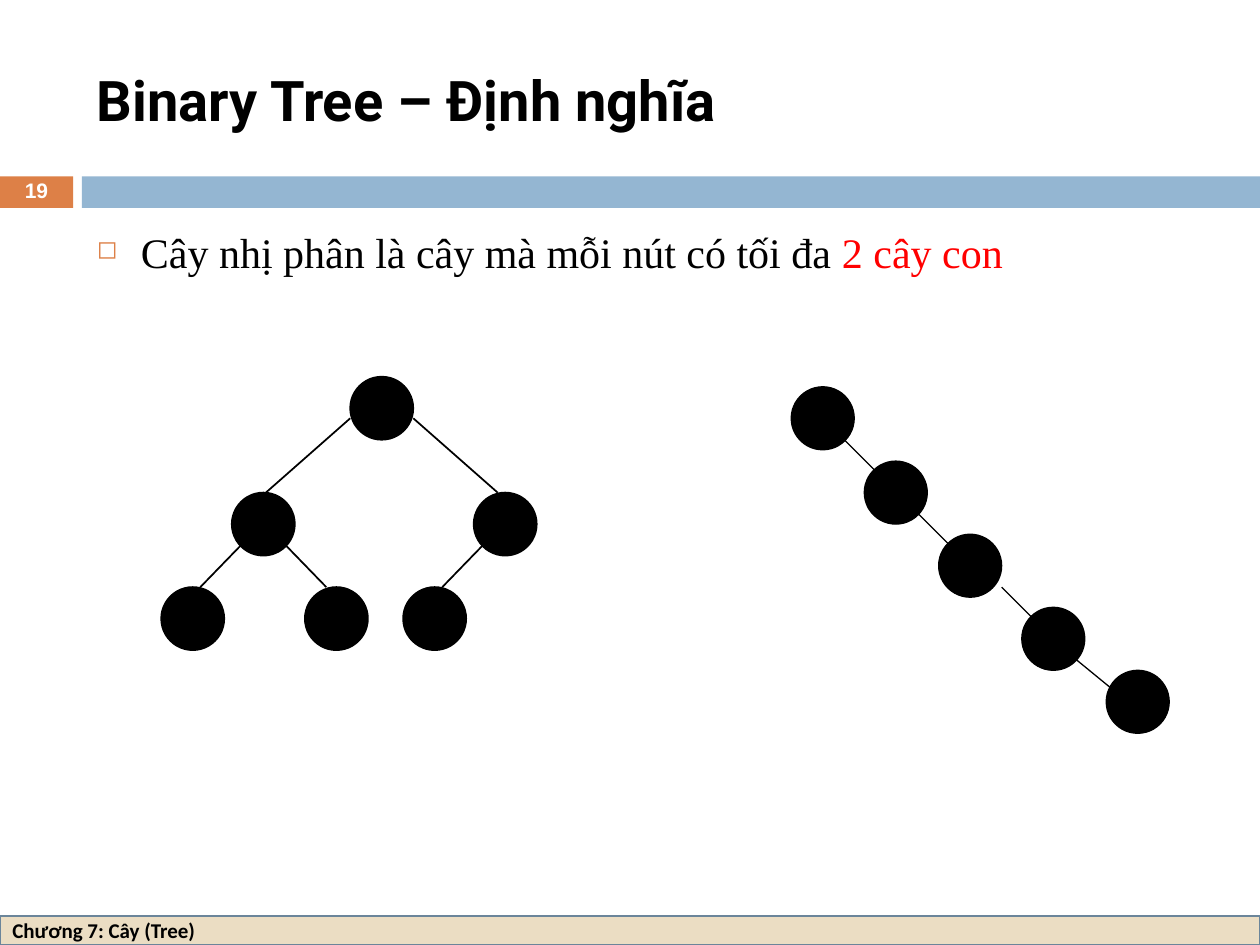
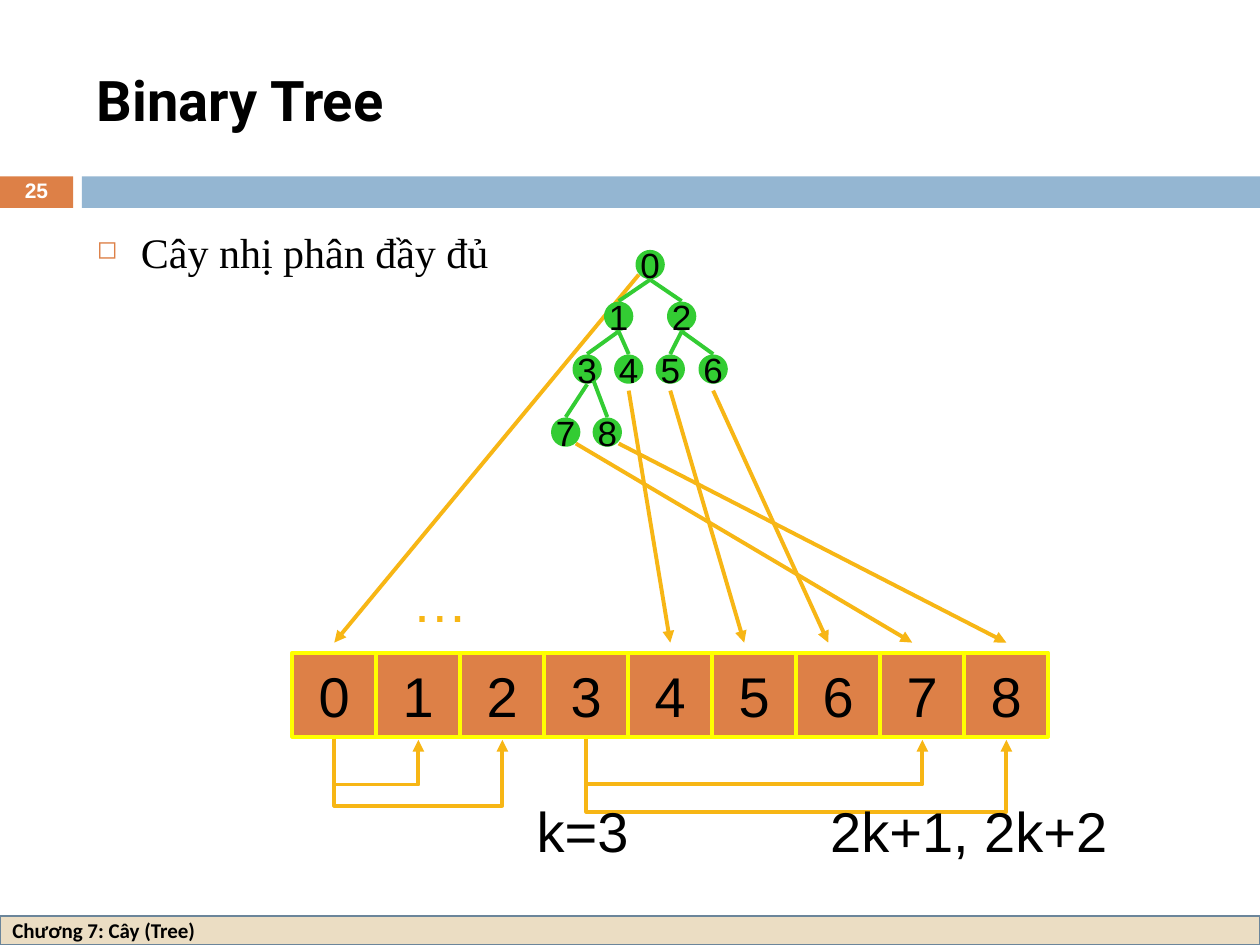
from lxml import etree
from pptx import Presentation
from pptx.dml.color import RGBColor
from pptx.enum.shapes import MSO_CONNECTOR, MSO_SHAPE
from pptx.enum.text import MSO_ANCHOR, PP_ALIGN
from pptx.oxml.ns import qn
from pptx.util import Inches, Pt

RECTANGLE, OVAL = MSO_SHAPE.RECTANGLE, MSO_SHAPE.OVAL
STRAIGHT, ELBOW = MSO_CONNECTOR.STRAIGHT, MSO_CONNECTOR.ELBOW
TOP, MIDDLE = MSO_ANCHOR.TOP, MSO_ANCHOR.MIDDLE
LEFT, CENTER = PP_ALIGN.LEFT, PP_ALIGN.CENTER

# The slide is a grid of 10 columns by 7.5 rows, one inch each
COLUMNS, ROWS = 10, 7.5
BLACK, WHITE, RED = "000000", "FFFFFF", "FF0000"
ORANGE, BLUE, SAND, SLATE = "DD8047", "94B6D2", "EBDDC3", "6B859A"
GREEN, YELLOW, AMBER = "33CC33", "FFFF00", "F7B615"

# Plain binary tree: node centres, then edges
BLACK_NODE = 0.5
BALANCED_NODES = [(3.03, 3.24), (2.09, 4.16), (4.01, 4.16),
                  (1.53, 4.91), (2.67, 4.91), (3.45, 4.91)]
BALANCED_EDGES = [((2.11, 3.91), (2.78, 3.32)), ((3.95, 3.91), (3.28, 3.32)),
                  ((1.59, 4.66), (1.92, 4.32)), ((2.59, 4.66), (2.26, 4.32)),
                  ((3.51, 4.66), (3.84, 4.32))]
CHAIN_NODES = [(6.53, 3.32), (7.11, 3.91), (7.7, 4.49), (8.36, 5.07), (9.03, 5.57)]
CHAIN_EDGES = [((6.7, 3.49), (6.95, 3.74)), ((7.28, 4.07), (7.53, 4.32)),
               ((7.95, 4.66), (8.2, 4.91)), ((8.45, 5.16), (8.95, 5.57))]

# Complete binary tree: node k has the children 2k+1 and 2k+2
GREEN_NODE, EDGE_GAP = 0.17, 0.12
HEAP_NODES = [(5.16, 2.1), (4.91, 2.51), (5.41, 2.51),
              (4.66, 2.93), (4.99, 2.93), (5.32, 2.93), (5.66, 2.93),
              (4.49, 3.43), (4.82, 3.43)]
CELL, ARRAY_LEFT, ARRAY_TOP = 2 / 3, 2.32, 5.18
# Node index, start offset from the node, end offset from the cell's centre
POINTERS = [(0, (-0.09, 0.08), 0), (4, (0, 0.17), 0), (5, (0, 0.17), -0.08),
            (6, (0, 0.17), -0.08), (7, (0.08, 0.09), -0.08), (8, (0.09, 0.09), 0)]
# Parent index, child index, depth below the array
BRACKETS = [(0, 1, 0.37), (0, 2, 0.54), (3, 7, 0.37), (3, 8, 0.59)]


def color(hex_string):
    return RGBColor.from_string(hex_string)


def write(shape, runs, size, font, bold=False, align=LEFT, anchor=MIDDLE, wrap=True):
    """Fill the shape's only paragraph with (text, colour) runs."""
    frame = shape.text_frame
    frame.word_wrap = wrap
    frame.vertical_anchor = anchor
    paragraph = frame.paragraphs[0]
    paragraph.alignment = align
    for text, hex_string in runs:
        run = paragraph.add_run()
        run.text = text
        run.font.size, run.font.name, run.font.bold = Pt(size), font, bold
        run.font.color.rgb = color(hex_string)
    return paragraph


def add_text(slide, box, *args, **options):
    textbox = slide.shapes.add_textbox(*map(Inches, box))
    return write(textbox, *args, **options)


def add_block(slide, kind, box, fill, line=None, width=1):
    shape = slide.shapes.add_shape(kind, *map(Inches, box))
    shape.shadow.inherit = False
    shape.fill.solid()
    shape.fill.fore_color.rgb = color(fill)
    if line:
        shape.line.color.rgb = color(line)
        shape.line.width = Pt(width)
    else:
        shape.line.fill.background()
    return shape


def add_node(slide, center, diameter, fill, width):
    x, y = center
    box = (x - diameter / 2, y - diameter / 2, diameter, diameter)
    return add_block(slide, OVAL, box, fill, fill, width)


def add_line(slide, start, end, hex_string, width, arrow=False, kind=STRAIGHT):
    line = slide.shapes.add_connector(kind, *map(Inches, start + end))
    line.line.color.rgb = color(hex_string)
    line.line.width = Pt(width)
    properties = line._element.spPr
    etree.SubElement(properties, qn("a:effectLst"))
    if arrow:
        etree.SubElement(properties.find(qn("a:ln")), qn("a:tailEnd"), type="triangle")
    return line


def add_bracket(slide, left, right, y, depth):
    """Elbow arrow that leaves downwards, runs across and comes back up."""
    thickness, middle, half = 0.01, (left + right) / 2, (right - left) / 2
    start = (middle + thickness / 2, y - half)
    end = (middle - thickness / 2, y + half)
    bracket = add_line(slide, start, end, AMBER, 2.25, arrow=True, kind=ELBOW)
    properties = bracket._element.spPr
    properties.find(qn("a:xfrm")).set("rot", str(270 * 60000))
    geometry = properties.find(qn("a:prstGeom"))
    guides = geometry.find(qn("a:avLst"))
    if guides is None:
        guides = etree.SubElement(geometry, qn("a:avLst"))
    share = round(depth / thickness * 100000)
    etree.SubElement(guides, qn("a:gd"), name="adj1", fmla=f"val {share}")


def add_bullet(slide, runs):
    paragraph = add_text(slide, (0.67, 1.75, 8.92, 4.92), runs, 24,
                         "Times New Roman", anchor=TOP)
    properties = paragraph._p.get_or_add_pPr()
    properties.set("marL", str(Inches(0.35)))
    properties.set("indent", str(-Inches(0.35)))
    bullet_color = etree.SubElement(properties, qn("a:buClr"))
    etree.SubElement(bullet_color, qn("a:srgbClr"), val=ORANGE)
    etree.SubElement(properties, qn("a:buSzPct"), val="60000")
    etree.SubElement(properties, qn("a:buChar"), char="◻")


def add_base_slide(presentation, title, number, bullet_runs):
    """Slide with the shared bands, footer, title, number and bullet."""
    slide = presentation.slides.add_slide(presentation.slide_layouts[6])
    add_block(slide, RECTANGLE, (0, 1.4, 0.58, 0.25), ORANGE)
    add_block(slide, RECTANGLE, (0.65, 1.4, COLUMNS - 0.65, 0.25), BLUE)
    footer = add_block(slide, RECTANGLE, (0, ROWS - 0.23, COLUMNS, 0.23), SAND, SLATE, 1.5)
    write(footer, [("Chương 7: Cây (Tree)", BLACK)], 12, "Calibri", bold=True)
    add_text(slide, (0.67, 0.25, 8.92, 1.08), [(title, BLACK)], 32, "Roboto", bold=True)
    page = add_text(slide, (0, 1.39, 0.58, 0.27), [(number, WHITE)], 12, "Arial",
                    bold=True, align=CENTER)
    page.line_spacing = 0.8
    add_bullet(slide, bullet_runs)
    return slide


def add_plain_tree(slide, nodes, edges, width):
    for center in nodes:
        add_node(slide, center, BLACK_NODE, BLACK, width)
    for start, end in edges:
        add_line(slide, start, end, BLACK, width)


def cell_center(index):
    return ARRAY_LEFT + (index + 0.5) * CELL


def add_pointers(slide):
    for index, (dx, dy), shift in POINTERS:
        x, y = HEAP_NODES[index]
        end = (cell_center(index) + shift, ARRAY_TOP - 0.08)
        add_line(slide, (x + dx, y + dy), end, AMBER, 2.25, arrow=True)


def add_heap_tree(slide):
    for index, center in enumerate(HEAP_NODES):
        node = add_node(slide, center, GREEN_NODE, GREEN, 4.5)
        write(node, [(str(index), BLACK)], 20, "Arial", align=CENTER, wrap=False)
    for child in range(1, len(HEAP_NODES)):
        parent_x, parent_y = HEAP_NODES[(child - 1) // 2]
        child_x, child_y = HEAP_NODES[child]
        start = (parent_x, parent_y + EDGE_GAP)
        if child == 8:
            start = (parent_x + 0.05, parent_y + 0.09)
        add_line(slide, start, (child_x, child_y - EDGE_GAP), GREEN, 2.25)


def add_array(slide):
    for index in range(len(HEAP_NODES)):
        box = (ARRAY_LEFT + index * CELL, ARRAY_TOP, CELL, CELL)
        cell = add_block(slide, RECTANGLE, box, ORANGE, YELLOW, 2.25)
        write(cell, [(str(index), BLACK)], 32, "Arial", align=CENTER, wrap=False)
    for parent, child, depth in BRACKETS:
        add_bracket(slide, cell_center(parent), cell_center(child),
                    ARRAY_TOP + CELL + 0.02, depth)


def main():
    presentation = Presentation()
    presentation.slide_width, presentation.slide_height = Inches(COLUMNS), Inches(ROWS)

    # Definition of a binary tree
    slide = add_base_slide(presentation, "Binary Tree – Định nghĩa", "19",
                           [("Cây nhị phân là cây mà mỗi nút có tối đa ", BLACK),
                            ("2 cây con", RED)])
    add_plain_tree(slide, BALANCED_NODES, BALANCED_EDGES, 1)
    add_plain_tree(slide, CHAIN_NODES, CHAIN_EDGES, 0.75)

    # Complete binary tree stored in an array
    slide = add_base_slide(presentation, "Binary Tree", "25",
                           [("Cây nhị phân đầy đủ", BLACK)])
    add_pointers(slide)
    add_heap_tree(slide)
    add_array(slide)
    for text, left, top, width, hex_string in [("…", 3.17, 4.45, 0.64, AMBER),
                                               ("2k+1, 2k+2", 6.49, 6.27, 2.4, BLACK),
                                               ("k=3", 4.16, 6.27, 0.93, BLACK)]:
        add_text(slide, (left, top, width, 0.64), [(text, hex_string)], 32, "Arial",
                 align=CENTER, anchor=TOP, wrap=False)

    presentation.save("out.pptx")


if __name__ == "__main__":
    main()
